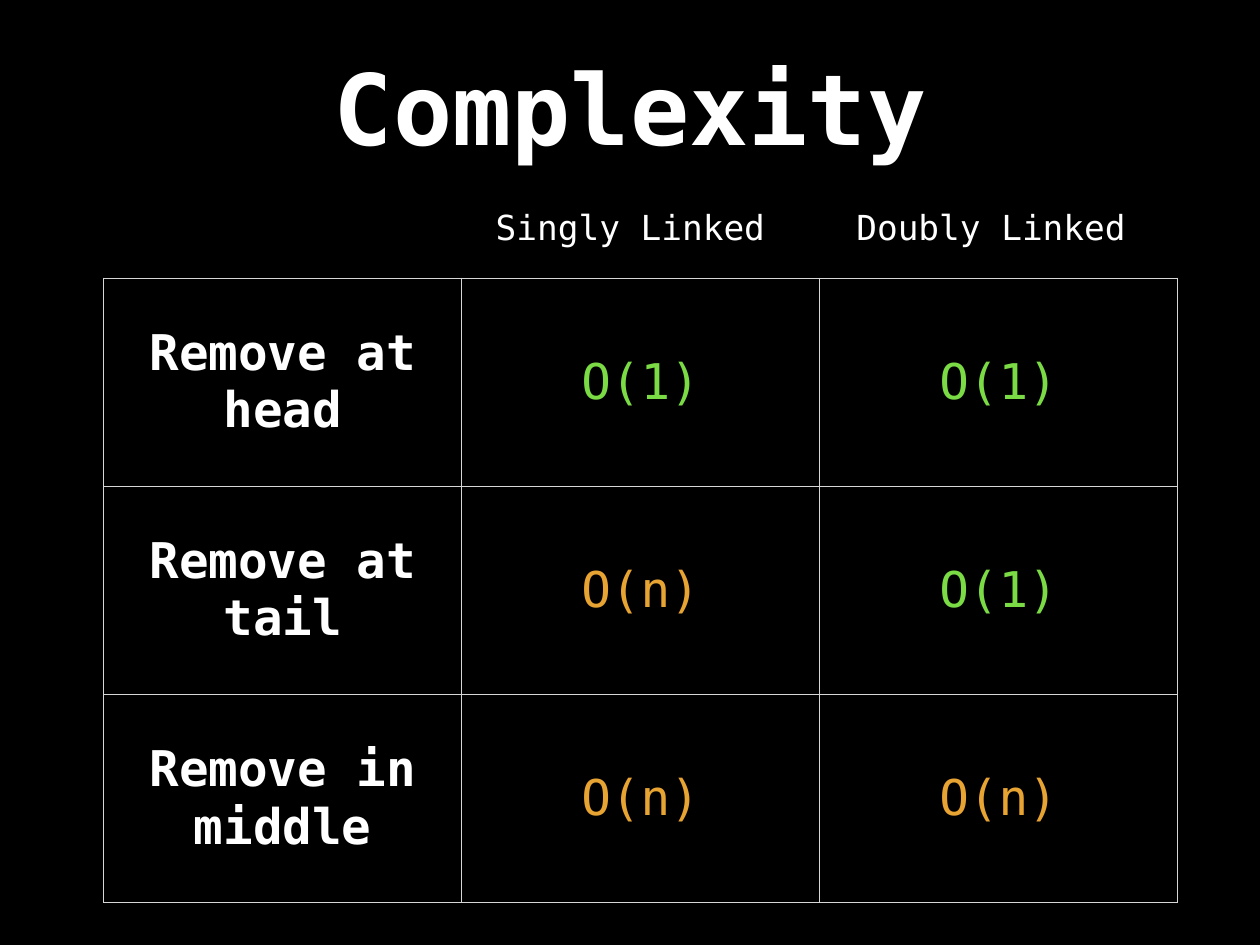
from pptx import Presentation
from pptx.dml.color import RGBColor
from pptx.enum.text import MSO_ANCHOR, PP_ALIGN
from pptx.oxml import parse_xml
from pptx.oxml.ns import nsdecls
from pptx.util import Inches, Pt

MID = MSO_ANCHOR.MIDDLE
CENTER = PP_ALIGN.CENTER
BLACK = RGBColor(0, 0, 0)
WHITE = RGBColor(255, 255, 255)
GREEN = RGBColor(0x7B, 0xDB, 0x45)
AMBER = RGBColor(0xE8, 0xA4, 0x32)
GRAY = RGBColor(0xD6, 0xD6, 0xD6)
FONT = "DejaVu Sans Mono"
PAD = Inches(0.06)

TITLE = "Complexity"
HEADS = ["Singly Linked", "Doubly Linked"]
ROWS = [
    ("Remove at head", "O(1)", "O(1)"),
    ("Remove at tail", "O(n)", "O(1)"),
    ("Remove in middle", "O(n)", "O(n)"),
]
COSTS = {"O(1)": GREEN, "O(n)": AMBER}

LEFT, TOP = 1.17, 3.14
COL, ROW = 4.04, 2.35
HEAD_LEFT, HEAD_STEP = 5.53, 4.07


def put(frame, text, size, color=WHITE, bold=False):
    para = frame.paragraphs[0]
    para.alignment = CENTER
    run = para.add_run()
    run.text = text
    look = {"name": FONT, "size": Pt(size), "bold": bold}
    for key, value in look.items():
        setattr(run.font, key, value)
    run.font.color.rgb = color


def pad(item):
    for side in ("left", "top", "right", "bottom"):
        setattr(item, "margin_" + side, PAD)
    item.vertical_anchor = MID


def label(text, box, size, bold=False, wrap=False):
    frame = slide.shapes.add_textbox(*map(Inches, box)).text_frame
    frame.word_wrap = wrap
    pad(frame)
    put(frame, text, size, bold=bold)


def edge(cell):
    props = cell._tc.get_or_add_tcPr()
    for spot, side in enumerate("LRTB"):
        props.insert(spot, parse_xml(
            f'<a:ln{side} {nsdecls("a")} w="{Pt(1)}"><a:solidFill>'
            f'<a:srgbClr val="{GRAY}"/></a:solidFill></a:ln{side}>'))


deck = Presentation()
deck.slide_width, deck.slide_height = Inches(14.22), Inches(10.67)
slide = deck.slides.add_slide(deck.slide_layouts[6])
back = slide.background.fill
back.solid()
back.fore_color.rgb = BLACK

count, width = len(ROWS), len(ROWS[0])
table = slide.shapes.add_table(
    count, width, Inches(LEFT), Inches(TOP),
    Inches(COL * width), Inches(ROW * count)).table
table.first_row = table.horz_banding = False
for col in table.columns:
    col.width = Inches(COL)
for row, texts in zip(table.rows, ROWS):
    row.height = Inches(ROW)
    for cell, text in zip(row.cells, texts):
        pad(cell)
        cell.fill.background()
        edge(cell)
        put(cell.text_frame, text, 40, COSTS.get(text, WHITE),
            text not in COSTS)

for spot, text in enumerate(HEADS):
    label(text, (HEAD_LEFT + spot * HEAD_STEP, 2.28, 3.17, 0.57), 28)
label(TITLE, (2.6, 0.39, 9.03, 1.61), 80, bold=True, wrap=True)

deck.save("out.pptx")
